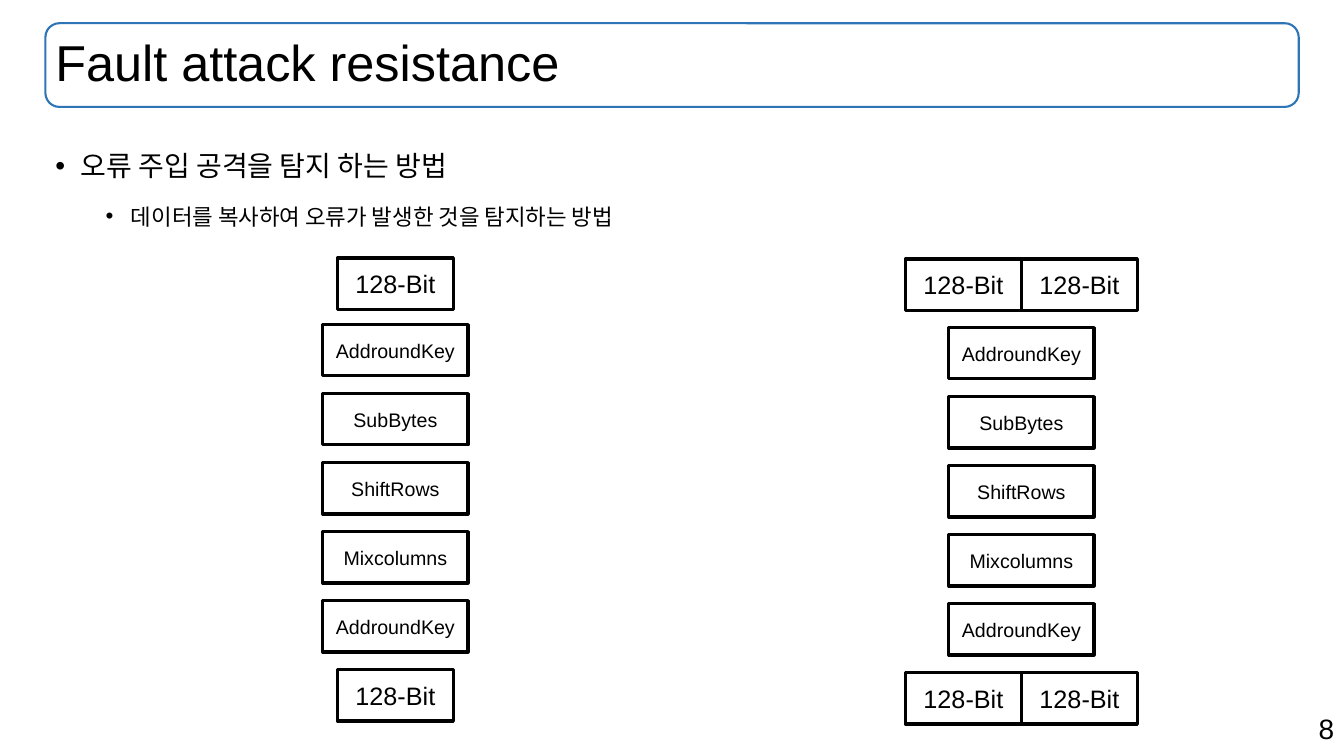
"""Build a slide comparing a plain cipher flow with a duplicated-data flow."""
from dataclasses import dataclass

from lxml import etree
from pptx import Presentation, util as u
from pptx.dml.color import RGBColor
from pptx.enum import shapes, text
from pptx.oxml import ns


@dataclass(frozen=True)
class Theme:
    font: str = "Arial"
    ink: RGBColor = RGBColor(0, 0, 0)
    paper: RGBColor = RGBColor(255, 255, 255)
    accent: RGBColor = RGBColor(0x2E, 0x75, 0xB6)
    title: int = 36
    topic: int = 20
    detail: int = 16
    data: int = 18
    step: int = 14
    frame_line: float = 1.5
    box_line: float = 2.25


@dataclass(frozen=True)
class Area:
    column: float
    row: float
    columns: float
    rows: float

    def emu(self) -> list[int]:
        """Convert grid units to slide lengths."""
        return [round(self.column * COLUMN), round(self.row * ROW),
                round(self.columns * COLUMN), round(self.rows * ROW)]


@dataclass(frozen=True)
class Bullet:
    words: str
    size: int
    level: int
    margin: float
    before: int


@dataclass(frozen=True)
class Flow:
    centre: float
    data_row: float
    step_row: float
    copies: int


THEME = Theme()
WIDTH, HEIGHT = u.Inches(13.33), u.Inches(7.5)
COLUMN, ROW = WIDTH / 100, HEIGHT / 100
HEADING = Area(3.38, 3.07, 93.25, 11.07)
BODY = Area(3.38, 16.8, 93.25, 81.73)
PAGE_NUMBER = Area(70.74, 93.47, 29.26, 5.87)
DATA_COLUMNS, STEP_COLUMNS, BOX_ROWS, PITCH = 8.63, 10.8, 6.8, 9.13
DATA = "128-Bit"
STEPS = ["AddroundKey", "SubBytes", "ShiftRows", "Mixcolumns", "AddroundKey"]
BULLETS = [
    Bullet("오류 주입 공격을 탐지 하는 방법", THEME.topic, 0, 0.25, 0),
    Bullet("데이터를 복사하여 오류가 발생한 것을 탐지하는 방법", THEME.detail, 1, 0.75, 5),
]
FLOWS = [Flow(29.42, 34.13, 42.93, 1), Flow(76, 34.27, 43.33, 2)]


def apply(target, formats: dict) -> None:
    """Set each named format value on the target."""
    for name, value in formats.items():
        setattr(target, name, value)


def write(paragraph, words: str, size: int, **formats) -> None:
    """Fill a paragraph with styled words."""
    paragraph.text = words
    apply(paragraph, formats)
    apply(paragraph.font, {"name": THEME.font, "size": u.Pt(size)})
    paragraph.font.color.rgb = THEME.ink


def add_frame(slide, area: Area, anchor=text.MSO_ANCHOR.TOP):
    """Add a wrapping text box and return its text frame."""
    frame = slide.shapes.add_textbox(*area.emu()).text_frame
    apply(frame, {"word_wrap": True, "vertical_anchor": anchor})
    return frame


def add_outline(slide, kind, area: Area, colour: RGBColor, weight: float):
    """Add an outlined preset shape without shadow or fill."""
    outline = slide.shapes.add_shape(kind, *area.emu())
    outline.shadow.inherit = False
    outline.fill.background()
    outline.line.color.rgb = colour
    outline.line.width = u.Pt(weight)
    return outline


def add_box(slide, area: Area, words: str, size: int) -> None:
    """Add a white box with a centred label."""
    box = add_outline(slide, shapes.MSO_SHAPE.RECTANGLE, area, THEME.ink, THEME.box_line)
    box.fill.solid()
    box.fill.fore_color.rgb = THEME.paper
    apply(box.text_frame, {"word_wrap": True, "vertical_anchor": text.MSO_ANCHOR.MIDDLE})
    write(box.text_frame.paragraphs[0], words, size, alignment=text.PP_ALIGN.CENTER)


def add_bullet(paragraph, bullet: Bullet) -> None:
    """Write one bulleted line with its hanging indent."""
    properties = paragraph._p.get_or_add_pPr()
    properties.set("marL", str(u.Inches(bullet.margin)))
    properties.set("indent", str(u.Inches(-0.25)))
    etree.SubElement(properties, ns.qn("a:buFont"), typeface=THEME.font)
    etree.SubElement(properties, ns.qn("a:buChar"), char="•")
    write(paragraph, bullet.words, bullet.size, level=bullet.level,
          line_spacing=1.5, space_before=u.Pt(bullet.before))


def add_flow(slide, flow: Flow) -> None:
    """Draw the data blocks and the cipher steps between them."""
    data_left = flow.centre - flow.copies * DATA_COLUMNS / 2
    for row in (flow.data_row, flow.step_row + len(STEPS) * PITCH):
        for index in range(flow.copies):
            left = data_left + index * DATA_COLUMNS
            add_box(slide, Area(left, row, DATA_COLUMNS, BOX_ROWS), DATA, THEME.data)
    for index, step in enumerate(STEPS):
        area = Area(flow.centre - STEP_COLUMNS / 2, flow.step_row + index * PITCH,
                    STEP_COLUMNS, BOX_ROWS)
        add_box(slide, area, step, THEME.step)


def main() -> None:
    """Assemble and save the slide."""
    deck = Presentation()
    apply(deck, {"slide_width": WIDTH, "slide_height": HEIGHT})
    slide = deck.slides.add_slide(deck.slide_layouts[6])
    number = add_frame(slide, PAGE_NUMBER)
    write(number.paragraphs[0], "8", THEME.topic, alignment=text.PP_ALIGN.RIGHT)
    add_outline(slide, shapes.MSO_SHAPE.ROUNDED_RECTANGLE, HEADING,
                THEME.accent, THEME.frame_line)
    heading = add_frame(slide, HEADING, text.MSO_ANCHOR.MIDDLE)
    write(heading.paragraphs[0], "Fault attack resistance", THEME.title, line_spacing=0.9)
    body = add_frame(slide, BODY)
    for index, bullet in enumerate(BULLETS):
        add_bullet(body.add_paragraph() if index else body.paragraphs[0], bullet)
    for flow in FLOWS:
        add_flow(slide, flow)
    deck.save("out.pptx")


if __name__ == "__main__":
    main()
